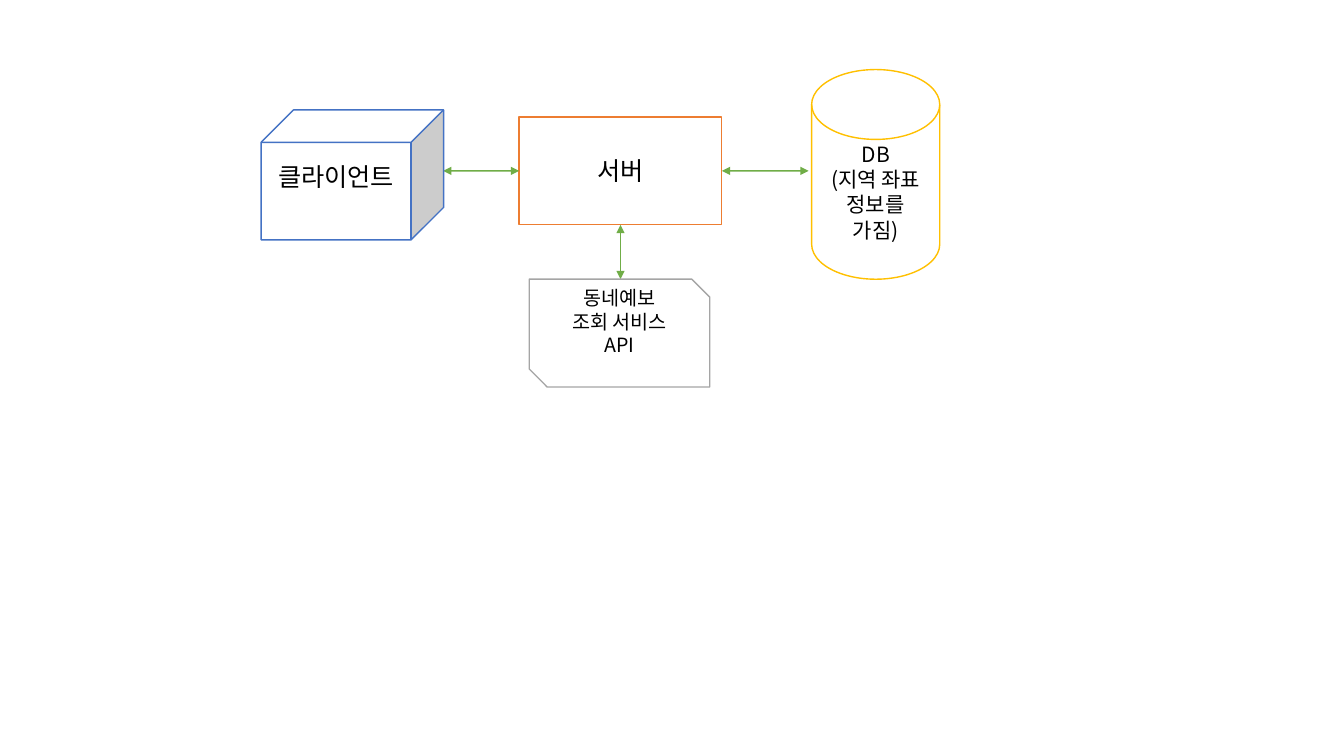
from dataclasses import dataclass

from lxml.etree import SubElement
from pptx import Presentation
from pptx.dml.color import RGBColor
from pptx.enum.shapes import MSO_CONNECTOR, MSO_SHAPE
from pptx.enum.text import MSO_ANCHOR, PP_ALIGN
from pptx.oxml.ns import qn
from pptx.util import Inches, Pt

SLIDE_W, SLIDE_H = Inches(13.33), Inches(7.5)
TOP, LEFT, BOTTOM, RIGHT = range(4)


@dataclass(frozen=True)
class Theme:
    """Colours, type sizes and line settings of the slide."""

    font: str = "Noto Sans CJK KR"
    text: str = "000000"
    fill: str = "FFFFFF"
    client: str = "4472C4"
    server: str = "ED7D31"
    database: str = "FFC000"
    api: str = "A5A5A5"
    arrow: str = "70AD47"
    large: int = 18
    medium: int = 15
    small: int = 14
    line: int = 1
    leading: float = 1.2


THEME = Theme()


def col(share):
    """Turn a percentage of the slide's width into a length."""
    return round(SLIDE_W * share / 100)


def row(share):
    """Turn a percentage of the slide's height into a length."""
    return round(SLIDE_H * share / 100)


def write(sp, text, size, color=THEME.text, lift=0):
    """Write centred paragraphs, raised by a lift given in rows."""
    tf = sp.text_frame
    tf.word_wrap = True
    tf.vertical_anchor = MSO_ANCHOR.MIDDLE
    tf.margin_top, tf.margin_bottom = 0, row(2 * lift)
    for i, line in enumerate(text.split("\n")):
        p = tf.add_paragraph() if i else tf.paragraphs[0]
        p.alignment = PP_ALIGN.CENTER
        p.line_spacing = Pt(size * THEME.leading)
        r = p.add_run()
        r.text = line
        r.font.name = THEME.font
        r.font.size = Pt(size)
        r.font.color.rgb = RGBColor.from_string(color)
        SubElement(r.font._element, qn("a:ea"), typeface=THEME.font)


def add_node(slide, kind, box, color, text, **fmt):
    """Add an outlined shape with text; box is left, top, width, height."""
    x, y, w, h = box
    sp = slide.shapes.add_shape(kind, col(x), row(y), col(w), row(h))
    sp.shadow.inherit = False
    sp.fill.solid()
    sp.fill.fore_color.rgb = RGBColor.from_string(THEME.fill)
    sp.line.color.rgb = RGBColor.from_string(color)
    sp.line.width = Pt(THEME.line)
    write(sp, text, **fmt)
    return sp


def add_link(slide, sp, side, end):
    """Draw a two-headed arrow from the side of a shape to an end point."""
    x, y = col(end[0]), row(end[1])
    link = slide.shapes.add_connector(MSO_CONNECTOR.STRAIGHT, x, y, x, y)
    link.begin_connect(sp, side)
    link.line.color.rgb = RGBColor.from_string(THEME.arrow)
    link.line.width = Pt(THEME.line)
    ln = link.line._get_or_add_ln()
    for tip in ("a:headEnd", "a:tailEnd"):
        SubElement(ln, qn(tip), type="triangle")
    SubElement(link._element.spPr, qn("a:effectLst"))


def main():
    """Build the service diagram and save it."""
    prs = Presentation()
    prs.slide_width, prs.slide_height = SLIDE_W, SLIDE_H
    slide = prs.slides.add_slide(prs.slide_layouts[6])

    server = add_node(slide, MSO_SHAPE.RECTANGLE, (38.63, 15.47, 15.08, 14.27),
                      THEME.server, "서버", size=THEME.large)
    for side, end in ((LEFT, (32.97, 22.6)), (RIGHT, (60.17, 22.6)),
                      (BOTTOM, (46.17, 36.93))):
        add_link(slide, server, side, end)

    add_node(slide, MSO_SHAPE.SNIP_2_DIAG_RECTANGLE, (39.38, 36.93, 13.43, 14.27),
             THEME.api, "동네예보\n조회 서비스\nAPI", size=THEME.small, lift=1.55)
    add_node(slide, MSO_SHAPE.FLOWCHART_MAGNETIC_DISK, (60.39, 9.2, 9.53, 27.73),
             THEME.database, "DB\n(지역 좌표\n정보를\n가짐)", size=THEME.medium)
    add_node(slide, MSO_SHAPE.CUBE, (19.43, 14.53, 13.58, 17.2),
             THEME.client, "클라이언트", size=THEME.large, lift=2)
    prs.save("out.pptx")


if __name__ == "__main__":
    main()
